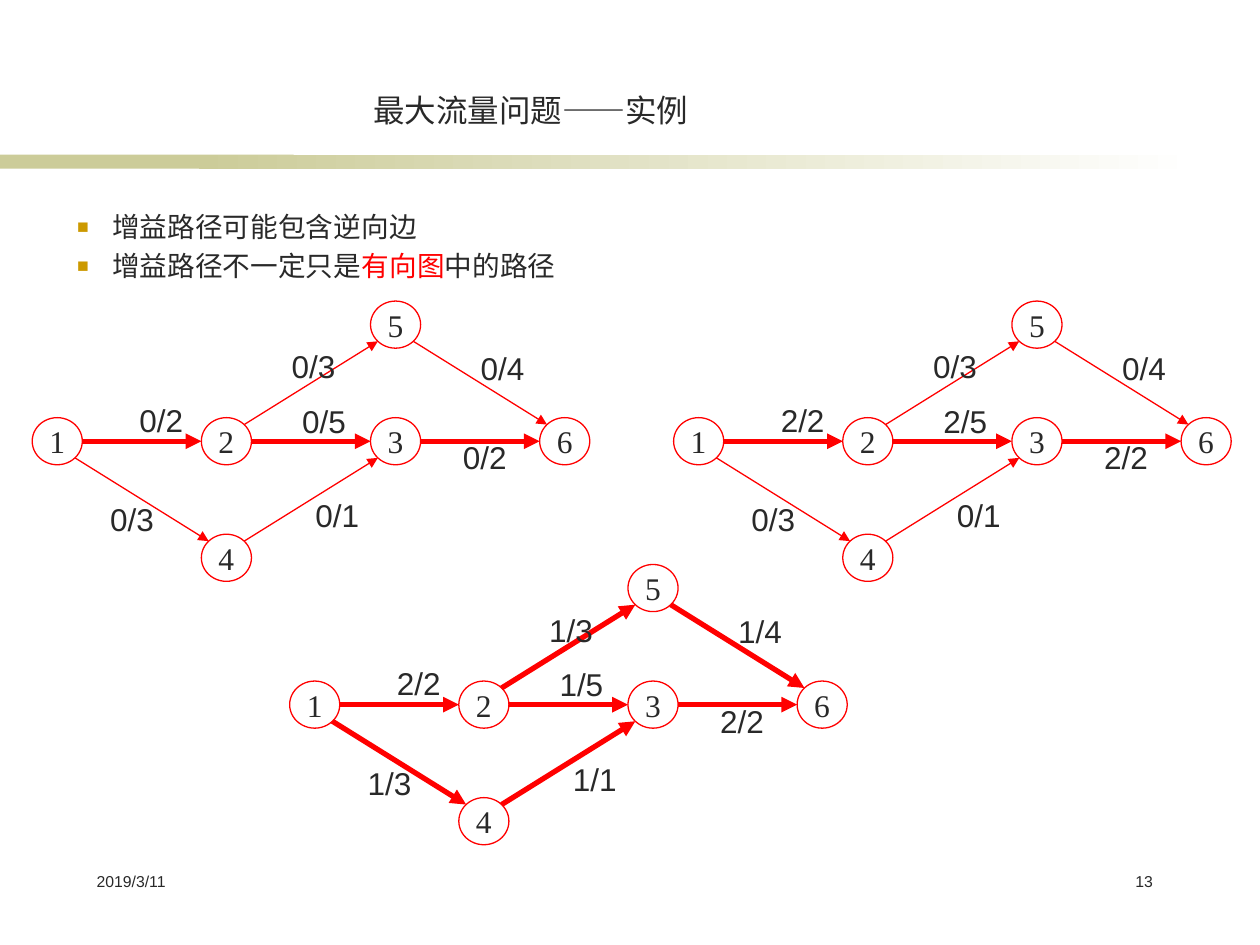
from math import sqrt
from lxml.etree import SubElement
from pptx import Presentation
from pptx.dml.color import RGBColor
from pptx.enum.shapes import MSO_CONNECTOR as Connector, MSO_SHAPE as Shape
from pptx.enum.text import MSO_ANCHOR as Anchor, MSO_AUTO_SIZE as AutoSize, PP_ALIGN as Align
from pptx.oxml.ns import qn
from pptx.util import Cm, Pt

COLORS = {"text": "292929", "red": "FF0000", "white": "FFFFFF",
          "band": "CCCC99", "bullet": "CC9900"}

# Content
TITLE = "最大流量问题——实例"
BULLETS = [
    [("增益路径可能包含逆向边", "text")],
    [("增益路径不一定只是", "text"), ("有向图", "red"), ("中的路径", "text")],
]
FOOTERS = [("2019/3/11", 1.7, 3.58, Align.LEFT), ("13", 20.9, 2.59, Align.RIGHT)]

# Network: node -> (column, row); edge -> label offset from the graph origin
NODES = {"1": (0, 1), "2": (1, 1), "3": (2, 1), "6": (3, 1), "5": (2, 0), "4": (1, 2)}
EDGES = {
    ("1", "2"): (1.91, 1.88),
    ("2", "3"): (5.19, 1.91),
    ("3", "6"): (8.43, 2.64),
    ("2", "5"): (4.98, 0.81),
    ("4", "3"): (5.46, 3.81),
    ("1", "4"): (1.32, 3.89),
    ("5", "6"): (8.79, 0.84),
}
MIDDLE_PATH = [("1", "2"), ("2", "3"), ("3", "6")]
# Each graph: origin, flow/capacity in edge order, highlighted edges
GRAPHS = [
    ((0.65, 6.07), ["0/2", "0/5", "0/2", "0/3", "0/1", "0/3", "0/4"], MIDDLE_PATH),
    ((13.58, 6.07), ["2/2", "2/5", "2/2", "0/3", "0/1", "0/3", "0/4"], MIDDLE_PATH),
    ((5.84, 11.38), ["2/2", "1/5", "2/2", "1/3", "1/1", "1/3", "1/4"], list(EDGES)),
]
COLUMN_STEP, ROW_STEP = 3.41, 2.35
NODE_WIDTH, NODE_HEIGHT = 1.01, 0.95


def color(name):
    return RGBColor.from_string(COLORS[name])


def place(shape, left, top, width, height):
    shape.left, shape.top, shape.width, shape.height = map(Cm, (left, top, width, height))


def style(span, size, name="text", font="Arial"):
    span.font.size, span.font.name = Pt(size), font
    span.font.color.rgb = color(name)


def add_text(left, top, width, height, text, size, align=Align.LEFT, wrap=True):
    box = slide.shapes.add_textbox(Cm(left), Cm(top), Cm(width), Cm(height))
    box.text_frame.word_wrap = wrap
    para = box.text_frame.paragraphs[0]
    para.text, para.alignment = text, align
    style(para.runs[0], size)


def add_band(left, width):
    band = slide.shapes.add_shape(Shape.RECTANGLE, Cm(left), Cm(3.12), Cm(width), Cm(0.28))
    band.shadow.inherit = False
    band.line.fill.background()
    return band.fill


def add_node(left, top, text):
    node = slide.shapes.add_shape(Shape.OVAL, Cm(left), Cm(top), Cm(NODE_WIDTH), Cm(NODE_HEIGHT))
    node.shadow.inherit = False
    node.fill.solid()
    node.fill.fore_color.rgb = color("white")
    node.line.color.rgb = color("red")
    node.line.width = Pt(0.75)
    frame = node.text_frame
    frame.word_wrap, frame.vertical_anchor = False, Anchor.MIDDLE
    para = frame.paragraphs[0]
    para.text, para.alignment = text, Align.CENTER
    style(para.runs[0], 18, font="Times New Roman")


def add_arrow(start, end, width):
    arrow = slide.shapes.add_connector(Connector.STRAIGHT, *map(Cm, start + end))
    arrow.line.color.rgb = color("red")
    arrow.line.width = Pt(width)
    SubElement(arrow.line._get_or_add_ln(), qn("a:tailEnd"), type="triangle")
    SubElement(arrow._element.spPr, qn("a:effectLst"))


def edge_ends(origin, edge):
    """Points on both node outlines: the sides, or the 45 degree corners."""
    (col1, row1), (col2, row2) = (NODES[node] for node in edge)
    slope = row2 - row1
    reach = sqrt(0.5) if slope else 1

    def point(col, row, sign):
        return (origin[0] + col * COLUMN_STEP + NODE_WIDTH / 2 * (1 + sign * reach),
                origin[1] + row * ROW_STEP + NODE_HEIGHT / 2 * (1 + sign * slope * reach))

    return point(col1, row1, 1), point(col2, row2, -1)


deck = Presentation()
deck.slide_width, deck.slide_height = Cm(25.4), Cm(19.05)
slide = deck.slides.add_slide(deck.slide_layouts[1])

# Band under the title
solid = add_band(0, 5.92)
solid.solid()
solid.fore_color.rgb = color("band")
fade = add_band(4.01, 20.12)
fade.gradient()
fade.gradient_angle = 0
for stop, name in zip(fade.gradient_stops, ("band", "white")):
    stop.color.rgb = color(name)

# Title
title = slide.shapes.title
place(title, 2.9, 1.12, 15.6, 1.6)
title.text_frame.text = TITLE
title.text_frame.vertical_anchor = Anchor.BOTTOM
title.text_frame.auto_size = AutoSize.NONE
title.text_frame.paragraphs[0].alignment = Align.CENTER
style(title.text_frame.paragraphs[0].runs[0], 18)

# Bullets
body = slide.placeholders[1]
place(body, 1.3, 4.11, 22.61, 12.19)
frame = body.text_frame
frame.auto_size = AutoSize.NONE
for index, spans in enumerate(BULLETS):
    para = frame.add_paragraph() if index else frame.paragraphs[0]
    para.space_before = Pt(3.2)
    for text, name in spans:
        span = para.add_run()
        span.text = text
        style(span, 15.8, name)
    props = para._p.get_or_add_pPr()
    props.set("marL", str(Cm(0.71)))
    props.set("indent", str(-Cm(0.71)))
    SubElement(SubElement(props, qn("a:buClr")), qn("a:srgbClr"), val=COLORS["bullet"])
    SubElement(props, qn("a:buSzPct"), val="70000")
    SubElement(props, qn("a:buFont"), typeface="Arial")
    SubElement(props, qn("a:buChar"), char="■")

# Date and page number
for text, left, width, align in FOOTERS:
    add_text(left, 17.45, width, 1.27, text, 9, align)

# Flow networks
for origin, flows, highlighted in GRAPHS:
    for text, (col, row) in NODES.items():
        add_node(origin[0] + col * COLUMN_STEP, origin[1] + row * ROW_STEP, text)
    for edge in EDGES:
        add_arrow(*edge_ends(origin, edge), 3 if edge in highlighted else 0.75)
    for (dx, dy), flow in zip(EDGES.values(), flows):
        add_text(origin[0] + dx, origin[1] + dy, 1.4, 1.02, flow, 18, wrap=False)

deck.save("out.pptx")
